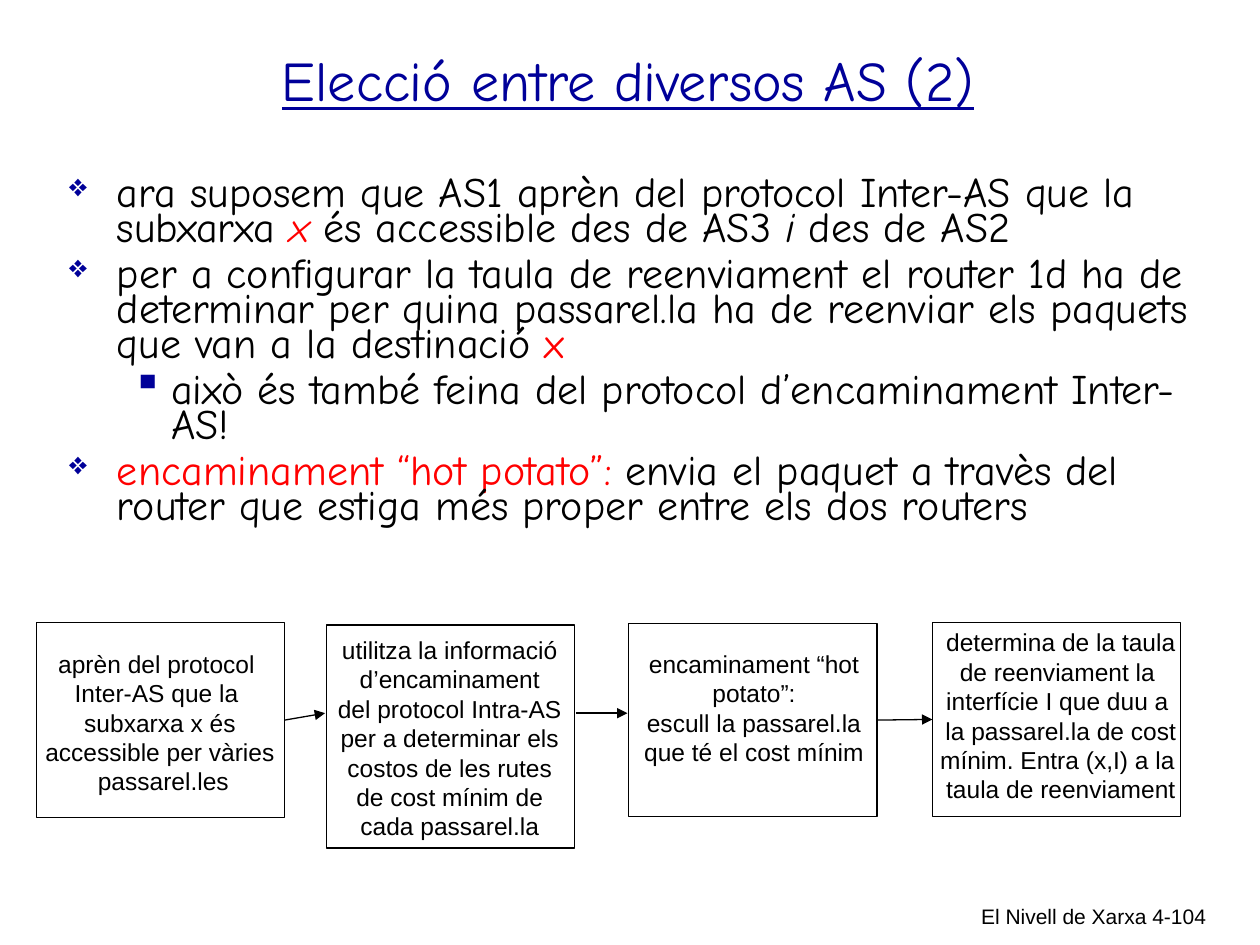
"""Build the slide on hot potato routing between autonomous systems."""
from lxml import etree
from pptx import Presentation
from pptx import util as u
from pptx.dml.color import RGBColor
from pptx.enum import shapes, text
from pptx.oxml import ns

COLUMNS, ROWS = 100, 75
CELL = u.Inches(0.1)
COLORS = {"ink": "000000", "blue": "000099", "red": "FF0000"}
BODY = {"name": "Comic Neue", "size": u.Pt(24)}
TITLE = {"name": "Comic Neue", "size": u.Pt(32), "underline": True}
LABEL = {"name": "Arial", "size": u.Pt(14)}
FOOTER = {"name": "Arial", "size": u.Pt(12)}
LEVELS = [
    {"indent": (0.38, -0.38), "bullet": "❖", "share": 75},
    {"indent": (0.81, -0.31), "bullet": "▪", "share": 100},
]
BULLETS = [
    (0, [("ara suposem que AS1 aprèn del protocol Inter-AS que la subxarxa ", "ink", False),
         ("x", "red", True), (" és accessible des de AS3 ", "ink", False),
         ("i", "ink", True), (" des de AS2", "ink", False)]),
    (0, [("per a configurar la taula de reenviament el router 1d ha de determinar per quina "
          "passarel.la ha de reenviar els paquets que van a la destinació ", "ink", False),
         ("x", "red", False)]),
    (1, [("això és també feina del protocol d’encaminament Inter-AS!", "ink", False)]),
    (0, [("encaminament “hot potato”:", "red", False),
         (" envia el paquet a travès del router que estiga més proper entre els dos routers",
          "ink", False)]),
]
STEPS = [
    {"box": (2.9, 49.4, 19.7, 15.5), "label": (2.6, 51, 20.2, 12.7), "wrap": False,
     "lines": ["aprèn del protocol ", "Inter-AS que la ", "subxarxa x és",
               "accessible per vàries", " passarel.les"]},
    {"box": (25.9, 49.6, 19.7, 17.7), "label": (25.6, 49.9, 20.2, 17.4), "wrap": True,
     "lines": ["utilitza la informació d’encaminament", "del protocol Intra-AS ",
               "per a determinar els",
               "costos de les rutes de cost mínim de cada passarel.la"]},
    {"box": (49.9, 49.5, 19.7, 15.3), "label": (50, 51, 19.7, 10.4), "wrap": True,
     "lines": ["encaminament “hot potato”:", "escull la passarel.la que té el cost mínim"]},
    {"box": (74, 49.4, 19.7, 15.4), "label": (73.6, 49.3, 21.2, 15), "wrap": False,
     "lines": ["determina de la taula", "de reenviament la ", "interfície I que duu a ",
               "la passarel.la de cost", "mínim. Entra (x,I) a la ", "taula de reenviament"]},
]
ARROWS = [
    {"ends": (22.6, 56.8, 25.8, 56.6), "begin": 0, "end": None},
    {"ends": (45.7, 56.6, 49.8, 56.6), "begin": None, "end": None},
    {"ends": (69.7, 56.9, 74.1, 56.9), "begin": 2, "end": 3},
]


def cells(values):
    """Turn grid columns and rows into slide lengths."""
    return [round(value * CELL) for value in values]


def set_font(font, values, color="ink"):
    """Set the font attributes and the colour."""
    for name, value in values.items():
        setattr(font, name, value)
    font.color.rgb = RGBColor.from_string(COLORS[color])


def add_text(slide, box, lines, values, align, color="ink", wrap=True, anchor="TOP"):
    """Place a text box with one paragraph for each line."""
    shape = slide.shapes.add_textbox(*cells(box))
    frame = shape.text_frame
    frame.word_wrap = wrap
    frame.vertical_anchor = text.MSO_ANCHOR[anchor]
    frame.text = "\n".join(lines)
    for paragraph in frame.paragraphs:
        paragraph.alignment = text.PP_ALIGN[align]
        for run in paragraph.runs:
            set_font(run.font, values, color)
    return shape


def add_bullet(paragraph, level):
    """Give a paragraph the indent and bullet of its level."""
    style = LEVELS[level]
    paragraph.level = level
    properties = paragraph._p.get_or_add_pPr()
    for name, inches in zip(("marL", "indent"), style["indent"]):
        properties.set(name, str(int(u.Inches(inches))))
    color = etree.SubElement(properties, ns.qn("a:buClr"))
    etree.SubElement(color, ns.qn("a:srgbClr"), val=COLORS["blue"])
    etree.SubElement(properties, ns.qn("a:buSzPct"), val=str(style["share"] * 1000))
    etree.SubElement(properties, ns.qn("a:buChar"), char=style["bullet"])


def add_body(slide, box):
    """Place the bulleted explanation."""
    frame = slide.shapes.add_textbox(*cells(box)).text_frame
    frame.word_wrap = True
    for index, (level, runs) in enumerate(BULLETS):
        paragraph = frame.add_paragraph() if index else frame.paragraphs[0]
        add_bullet(paragraph, level)
        paragraph.line_spacing = 0.7
        paragraph.space_before = u.Pt(6 if index else 0)
        for words, color, italic in runs:
            run = paragraph.add_run()
            run.text = words
            set_font(run.font, {**BODY, "italic": italic}, color)


def set_line(line):
    """Draw a thin ink line."""
    line.color.rgb = RGBColor.from_string(COLORS["ink"])
    line.width = u.Pt(0.75)


def add_step(slide, step):
    """Place one outlined step with its label and return the outline."""
    shape = slide.shapes.add_shape(shapes.MSO_SHAPE.RECTANGLE, *cells(step["box"]))
    shape.shadow.inherit = False
    shape.fill.background()
    set_line(shape.line)
    add_text(slide, step["label"], step["lines"], LABEL, "CENTER", wrap=step["wrap"])
    return shape


def add_arrow(slide, arrow, boxes):
    """Place one arrow, joined to the steps it names."""
    connector = slide.shapes.add_connector(
        shapes.MSO_CONNECTOR.STRAIGHT, *cells(arrow["ends"]))
    if arrow["begin"] is not None:
        connector.begin_connect(boxes[arrow["begin"]], 3)
    if arrow["end"] is not None:
        connector.end_connect(boxes[arrow["end"]], 1)
    set_line(connector.line)
    etree.SubElement(connector.line._get_or_add_ln(), ns.qn("a:tailEnd"), type="triangle")
    etree.SubElement(connector._element.spPr, ns.qn("a:effectLst"))


def add_flow(slide):
    """Place the row of steps and the arrows between them."""
    boxes = [add_step(slide, step) for step in STEPS]
    for arrow in ARROWS:
        add_arrow(slide, arrow, boxes)


def add_footer(slide):
    """Place the chapter name and the page number."""
    add_text(slide, (60.3, 71.2, 31.7, 4.1), ["El Nivell de Xarxa"], FOOTER, "RIGHT")
    add_text(slide, (89.3, 71.2, 7.4, 3.8), ["4-104"], FOOTER, "RIGHT")


def main():
    """Build and save the presentation."""
    presentation = Presentation()
    presentation.slide_width, presentation.slide_height = cells((COLUMNS, ROWS))
    slide = presentation.slides.add_slide(presentation.slide_layouts[6])
    add_footer(slide)
    add_flow(slide)
    add_body(slide, (4.5, 13.7, 92.1, 30.1))
    add_text(slide, (1.9, 0, 95.9, 12.5), ["Elecció entre diversos AS (2)"], TITLE,
             "CENTER", color="blue", anchor="MIDDLE")
    presentation.save("out.pptx")


if __name__ == "__main__":
    main()
